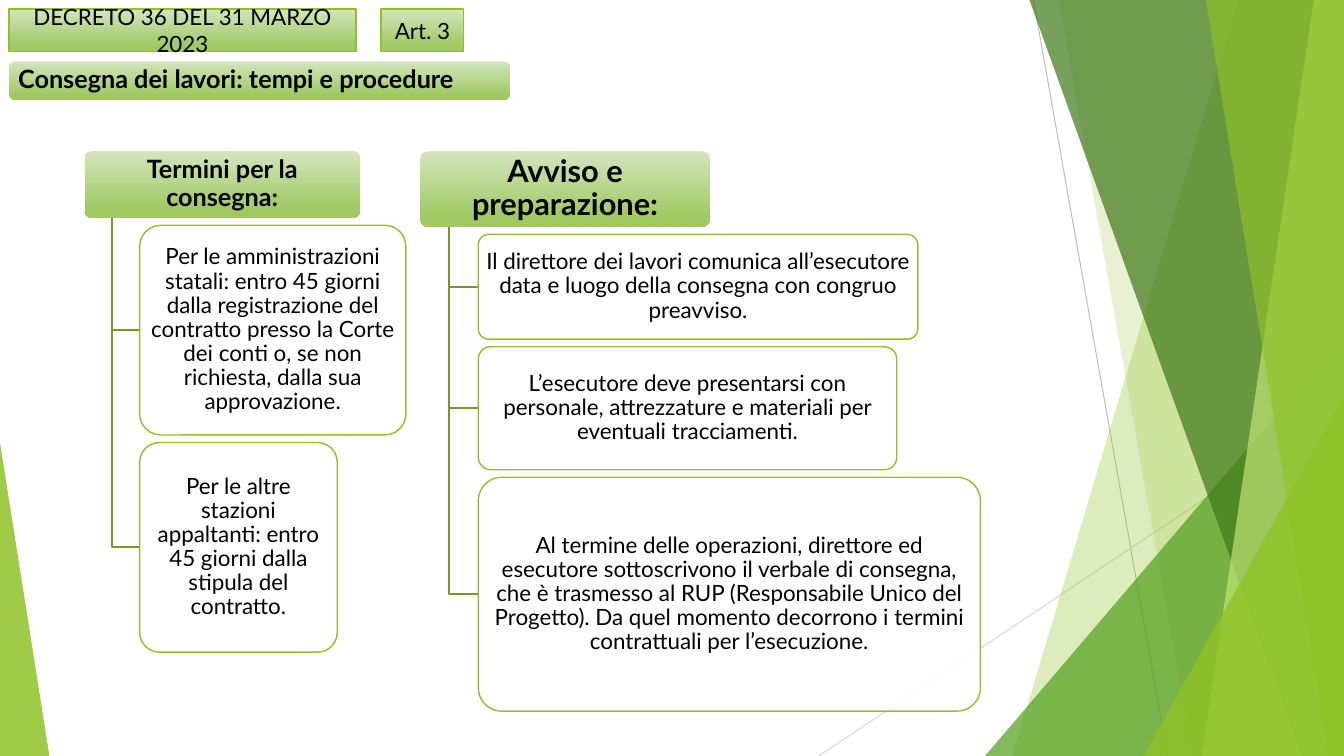
import pptx
import pptx.dml.color
import pptx.enum.shapes
import pptx.enum.text
import pptx.oxml
import pptx.oxml.ns
import pptx.util
from pptx.util import Inches

SHAPES = pptx.enum.shapes.MSO_SHAPE
ALIGN = pptx.enum.text.PP_ALIGN
WIDTH, HEIGHT = 13.33, 7.5
GREEN = "90C226"
GAP = 0.075


def color(value):
    return pptx.dml.color.RGBColor.from_string(value)


def fill_solid(shape, value, opacity):
    shape.fill.solid()
    shape.fill.fore_color.rgb = color(value)
    solid = shape._element.spPr.find(pptx.oxml.ns.qn("a:solidFill"))
    alpha = pptx.oxml.parse_xml(
        f'<a:alpha {pptx.oxml.ns.nsdecls("a")} val="{opacity * 1000}"/>')
    solid[0].append(alpha)


def fill_gradient(shape):
    shape.fill.gradient()
    shape.fill.gradient_angle = 270
    stops = ((0, "D3E5BE"), (0.88, "A0C962"))
    for stop, (position, value) in zip(shape.fill.gradient_stops, stops):
        stop.position = position
        stop.color.rgb = color(value)


def set_line(shape, value, width):
    if value is None:
        shape.line.fill.background()
    else:
        shape.line.color.rgb = color(value)
        shape.line.width = pptx.util.Pt(width)


def add_preset(slide, kind, box, adjustment=None, line=None):
    shape = slide.shapes.add_shape(kind, *map(Inches, box))
    shape.shadow.inherit = False
    if adjustment is not None:
        shape.adjustments[0] = adjustment
    set_line(shape, line, 1)
    return shape


def add_outline(slide, points, closed):
    points = [(Inches(x), Inches(y)) for x, y in points]
    builder = slide.shapes.build_freeform(*points[0])
    builder.add_line_segments(points[1:], close=closed)
    shape = builder.convert_to_shape()
    shape.shadow.inherit = False
    return shape


def write(shape, text, size, bold=False, align=ALIGN.CENTER,
          margins=(0.03, 0.02), spacing=0.9):
    frame = shape.text_frame
    frame.word_wrap = True
    frame.auto_size = pptx.enum.text.MSO_AUTO_SIZE.NONE
    frame.vertical_anchor = pptx.enum.text.MSO_ANCHOR.MIDDLE
    frame.margin_left = frame.margin_right = Inches(margins[0])
    frame.margin_top = frame.margin_bottom = Inches(margins[1])
    paragraph = frame.paragraphs[0]
    paragraph.alignment = align
    paragraph.line_spacing = spacing
    run = paragraph.add_run()
    run.text = text
    run.font.name = "Lato"
    run.font.size = pptx.util.Pt(size)
    run.font.bold = bold
    run.font.color.rgb = color("000000")


def add_thin_line(slide, start, end, value):
    connector = slide.shapes.add_connector(
        pptx.enum.shapes.MSO_CONNECTOR.STRAIGHT, *map(Inches, start + end))
    set_line(connector, value, 0.75)
    connector._element.spPr.append(
        pptx.oxml.parse_xml(f'<a:effectLst {pptx.oxml.ns.nsdecls("a")}/>'))


def add_band(slide, top_left, bottom_left, value, opacity):
    points = [(top_left, 0), (WIDTH, 0), (WIDTH, HEIGHT), (bottom_left, HEIGHT)]
    band = add_outline(slide, points, True)
    fill_solid(band, value, opacity)
    set_line(band, None, 0)


def add_corner(slide, left, top, width, apex, value, opacity):
    box = (left, top, width, HEIGHT - top)
    corner = add_preset(slide, SHAPES.ISOSCELES_TRIANGLE, box, apex)
    fill_solid(corner, value, opacity)


def add_background(slide):
    add_thin_line(slide, (10.25, 0), (11.58, HEIGHT), "BFBFBF")
    add_thin_line(slide, (WIDTH, 4.03), (8.12, HEIGHT), "D9D9D9")
    add_band(slide, 12.28, 10.04, GREEN, 30)
    add_band(slide, 10.5, 11.83, GREEN, 20)
    add_corner(slide, 9.77, 3.33, 3.56, 1, "54A021", 72)
    add_band(slide, 10.21, 12.91, "3F7819", 70)
    add_band(slide, 13.03, 11.92, "C0E474", 70)
    add_band(slide, 11.96, 13.18, GREEN, 65)
    add_corner(slide, 11.34, 3.93, 1.99, 1, GREEN, 80)
    add_corner(slide, 0, 4.39, 0.49, 0, GREEN, 85)


def add_tag(slide, box, text):
    tag = add_preset(slide, SHAPES.RECTANGLE, box, line=GREEN)
    fill_gradient(tag)
    write(tag, text, 16, margins=(0.1, 0.05), spacing=1)


def add_title(slide, box, text):
    banner = add_preset(slide, SHAPES.ROUNDED_RECTANGLE, box)
    fill_gradient(banner)
    title = slide.shapes.title
    title.left, title.top, title.width, title.height = map(Inches, box)
    write(title, text, 18, True, ALIGN.LEFT, (0.09, 0.07))
    slide.shapes._spTree.append(title._element)


def add_branch(slide, box, heading, size, items):
    left, top, width, height = box
    head = add_preset(slide, SHAPES.ROUNDED_RECTANGLE, box, 0.1)
    fill_gradient(head)
    write(head, heading, size, True, margins=(0.04, 0.03))
    stem, item_left = left + 0.1 * width, left + 0.2 * width
    bottom = top + height
    item_top = bottom + GAP
    for item_width, item_height, text in items:
        middle = item_top + item_height / 2
        elbow = add_outline(
            slide, [(stem, bottom), (stem, middle), (item_left, middle)], False)
        elbow.fill.background()
        set_line(elbow, "739B1E", 1.5)
        item = add_preset(slide, SHAPES.ROUNDED_RECTANGLE,
                          (item_left, item_top, item_width, item_height), 0.1, GREEN)
        fill_solid(item, "FFFFFF", 90)
        write(item, text, 16)
        item_top += item_height + GAP


def main():
    presentation = pptx.Presentation()
    presentation.slide_width = Inches(WIDTH)
    presentation.slide_height = Inches(HEIGHT)
    slide = presentation.slides.add_slide(presentation.slide_layouts[5])
    add_background(slide)
    add_tag(slide, (0.09, 0.09, 3.44, 0.42), "DECRETO 36 DEL 31 MARZO 2023")
    add_tag(slide, (3.78, 0.09, 0.82, 0.42), "Art. 3")
    add_branch(slide, (0.84, 1.5, 2.73, 0.66), "Termini per la consegna:", 18, [
        (2.64, 2.08, "Per le amministrazioni statali: entro 45 giorni dalla "
         "registrazione del contratto presso la Corte dei conti o, se non "
         "richiesta, dalla sua approvazione."),
        (1.96, 2.08, "Per le altre stazioni appaltanti: entro 45 giorni dalla "
         "stipula del contratto."),
    ])
    add_branch(slide, (4.17, 1.5, 2.87, 0.75), "Avviso e preparazione:", 22, [
        (4.36, 1.04, "Il direttore dei lavori comunica all’esecutore data e luogo "
         "della consegna con congruo preavviso."),
        (4.15, 1.22, "L’esecutore deve presentarsi con personale, attrezzature e "
         "materiali per eventuali tracciamenti."),
        (4.98, 2.32, "Al termine delle operazioni, direttore ed esecutore "
         "sottoscrivono il verbale di consegna, che è trasmesso al RUP "
         "(Responsabile Unico del Progetto). Da quel momento decorrono i termini "
         "contrattuali per l’esecuzione."),
    ])
    add_title(slide, (0.09, 0.61, 4.97, 0.38), "Consegna dei lavori: tempi e procedure")
    presentation.save("out.pptx")


if __name__ == "__main__":
    main()
